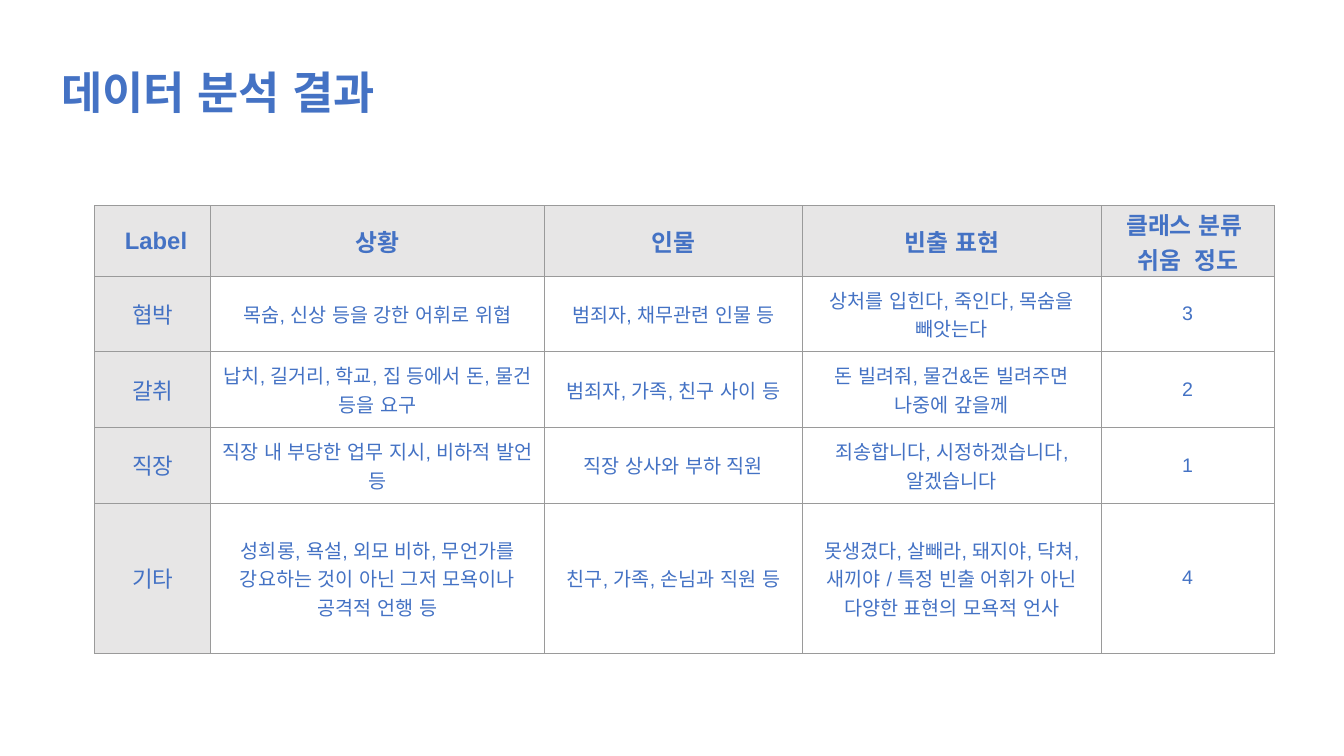
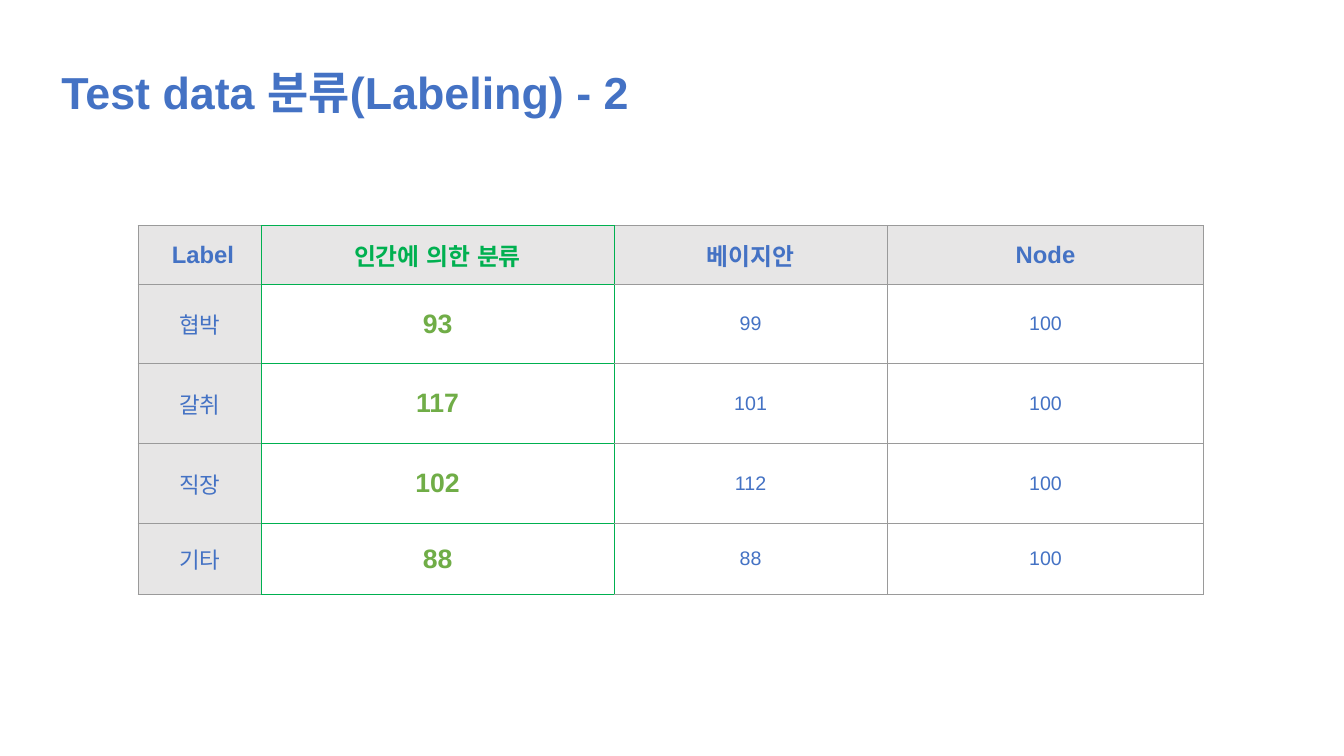
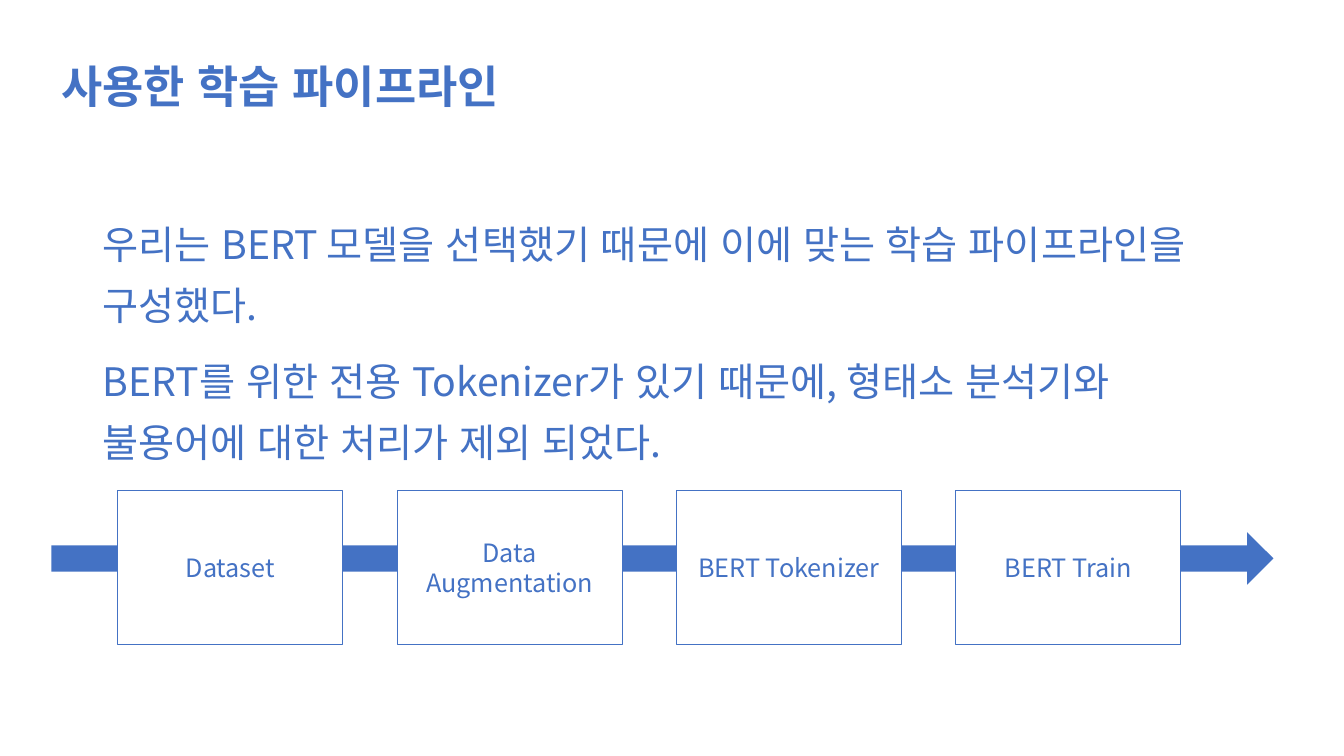
"""Build three slides on labelled data and the training pipeline."""
import dataclasses

import lxml.etree
import pptx
import pptx.dml.color
import pptx.enum.lang
import pptx.enum.shapes
import pptx.enum.text
import pptx.oxml.ns
import pptx.util

Inches = pptx.util.Inches
Pt = pptx.util.Pt
qn = pptx.oxml.ns.qn
MIDDLE = pptx.enum.text.MSO_ANCHOR.MIDDLE
CENTER = pptx.enum.text.PP_ALIGN.CENTER
SHAPE = pptx.enum.shapes.MSO_SHAPE

BLUE, WHITE = "4472C4", "FFFFFF"
HEADER_GRAY, BORDER_GRAY = "E7E6E6", "9A9A9A"
GREEN, LIGHT_GREEN = "00B050", "70AD47"
LATIN, KOREAN = "Arial", "Noto Sans CJK KR"


@dataclasses.dataclass(frozen=True)
class ColumnStyle:
    width: float
    size: int = 14
    bold: bool = False
    color: str = BLUE
    header_color: str = BLUE
    fill: str = ""
    borders: tuple[str, str, str, str] = (BORDER_GRAY,) * 4


@dataclasses.dataclass(frozen=True)
class TableSpec:
    left: float
    top: float
    columns: list[ColumnStyle]
    heights: list[float]
    rows: list[list[str]]


def rgb(value: str) -> pptx.dml.color.RGBColor:
    return pptx.dml.color.RGBColor.from_string(value)


def write_text(tf, text: str, *, size: int, color: str = BLUE, font: str = LATIN,
               bold: bool = False, align=None, spacing=None, before=None,
               anchor=None, insets: tuple[float, float] = (0.1, 0.05)) -> None:
    tf.word_wrap = True
    if anchor is not None:
        tf.vertical_anchor = anchor
    tf.margin_left = tf.margin_right = Inches(insets[0])
    tf.margin_top = tf.margin_bottom = Inches(insets[1])
    for i, line in enumerate(text.split("\n")):
        p = tf.paragraphs[0] if i == 0 else tf.add_paragraph()
        p.alignment, p.line_spacing = align, spacing
        if before is not None:
            p.space_before = Pt(before)
        r = p.add_run()
        r.text = line
        r.font.name, r.font.size, r.font.bold = font, Pt(size), bold
        r.font.color.rgb = rgb(color)
        r.font.language_id = pptx.enum.lang.MSO_LANGUAGE_ID.KOREAN
        latin = r.font._element.find(qn("a:latin"))
        ea = lxml.etree.Element(qn("a:ea"), typeface=KOREAN)
        latin.addnext(ea)


def add_title(s, text: str, width: float = 6.67, spacing=None) -> None:
    sp = s.shapes.add_textbox(Inches(0.51), Inches(0.59), Inches(width), Inches(0.64))
    write_text(sp.text_frame, text, size=32, bold=True, spacing=spacing)
    sp.text_frame.auto_size = pptx.enum.text.MSO_AUTO_SIZE.SHAPE_TO_FIT_TEXT


def set_borders(cell, colors: tuple[str, str, str, str]) -> None:
    tc_pr = cell._tc.get_or_add_tcPr()
    for i, (side, color) in enumerate(zip("LRTB", colors)):
        ln = lxml.etree.Element(qn(f"a:ln{side}"), w=str(Pt(0.75)))
        fill = lxml.etree.SubElement(ln, qn("a:solidFill"))
        lxml.etree.SubElement(fill, qn("a:srgbClr"), val=color)
        tc_pr.insert(i, ln)


def add_table(s, spec: TableSpec) -> None:
    width = sum(c.width for c in spec.columns)
    table = s.shapes.add_table(
        len(spec.rows), len(spec.columns), Inches(spec.left), Inches(spec.top),
        Inches(width), Inches(sum(spec.heights))).table
    for column, style in zip(table.columns, spec.columns):
        column.width = Inches(style.width)
    for i, (height, texts) in enumerate(zip(spec.heights, spec.rows)):
        table.rows[i].height = Inches(height)
        for j, (style, text) in enumerate(zip(spec.columns, texts)):
            cell = table.cell(i, j)
            header = i == 0
            fill = HEADER_GRAY if header else style.fill
            if fill:
                cell.fill.solid()
                cell.fill.fore_color.rgb = rgb(fill)
            else:
                cell.fill.background()
            set_borders(cell, style.borders)
            write_text(cell.text_frame, text, size=17 if header else style.size,
                       bold=header or style.bold, align=CENTER,
                       color=style.header_color if header else style.color)
            cell.vertical_anchor = MIDDLE
            cell.margin_left = cell.margin_right = Inches(0.04)
            cell.margin_top = cell.margin_bottom = Inches(0.01)


def add_block(s, kind, left: float, top: float, width: float, height: float,
              fill: str, line: str = ""):
    sp = s.shapes.add_shape(kind, Inches(left), Inches(top), Inches(width), Inches(height))
    sp.shadow.inherit = False
    sp.fill.solid()
    sp.fill.fore_color.rgb = rgb(fill)
    if line:
        sp.line.color.rgb = rgb(line)
        sp.line.width = Pt(0.75)
    else:
        sp.line.fill.background()
    return sp


def build_analysis(s) -> None:
    add_title(s, "데이터 분석 결과")
    add_table(s, TableSpec(
        left=0.94, top=2.04, heights=[0.7, 0.75, 0.75, 0.75, 1.49],
        columns=[ColumnStyle(1.15, size=16, fill=HEADER_GRAY),
                 *(ColumnStyle(w) for w in (3.31, 2.56, 2.96, 1.72))],
        rows=[
            [" Label", "상황", "인물", "빈출 표현", "클래스 분류 \n쉬움  정도"],
            ["협박", "목숨, 신상 등을 강한 어휘로 위협", "범죄자, 채무관련 인물 등",
             "상처를 입힌다, 죽인다, 목숨을 빼앗는다", "3"],
            ["갈취", "납치, 길거리, 학교, 집 등에서 돈, 물건 등을 요구",
             "범죄자, 가족, 친구 사이 등", "돈 빌려줘, 물건&돈 빌려주면 나중에 갚을께", "2"],
            ["직장", "직장 내 부당한 업무 지시, 비하적 발언 등", "직장 상사와 부하 직원",
             "죄송합니다, 시정하겠습니다, 알겠습니다", "1"],
            ["기타", "성희롱, 욕설, 외모 비하, 무언가를 강요하는 것이 아닌 그저 모욕이나 공격적 언행 등",
             "친구, 가족, 손님과 직원 등",
             "못생겼다, 살빼라, 돼지야, 닥쳐, 새끼야 / 특정 빈출 어휘가 아닌 다양한 표현의 모욕적 언사",
             "4"],
        ]))


def build_labeling(s) -> None:
    add_title(s, "Test data 분류(Labeling) - 2")
    add_table(s, TableSpec(
        left=1.37, top=2.24, heights=[0.58, 0.79, 0.79, 0.79, 0.71],
        columns=[
            ColumnStyle(1.22, size=16, fill=HEADER_GRAY,
                        borders=(BORDER_GRAY, GREEN, BORDER_GRAY, BORDER_GRAY)),
            ColumnStyle(3.5, size=19, bold=True, color=LIGHT_GREEN,
                        header_color=GREEN, borders=(GREEN,) * 4),
            ColumnStyle(2.71, borders=(GREEN, BORDER_GRAY, BORDER_GRAY, BORDER_GRAY)),
            ColumnStyle(3.14),
        ],
        rows=[
            [" Label", "인간에 의한 분류", "베이지안", "Node"],
            ["협박", "93", "99", "100"],
            ["갈취", "117", "101", "100"],
            ["직장", "102", "112", "100"],
            ["기타", "88", "88", "100"],
        ]))


def build_pipeline(s) -> None:
    sp = s.shapes.add_textbox(Inches(0.92), Inches(2), Inches(11.5), Inches(2.53))
    write_text(sp.text_frame,
               "우리는 BERT 모델을 선택했기 때문에 이에 맞는 학습 파이프라인을 구성했다.\n"
               "BERT를 위한 전용 Tokenizer가 있기 때문에, 형태소 분석기와 "
               "불용어에 대한 처리가 제외 되었다.",
               size=28, font=KOREAN, spacing=1.3, before=10)
    add_title(s, "사용한 학습 파이프라인", width=9.38, spacing=0.9)
    add_block(s, SHAPE.RIGHT_ARROW, 0.51, 5.28, 12.12, 0.52, BLUE)
    steps = ["Dataset", "Data Augmentation", "BERT Tokenizer", "BERT Train"]
    for i, step in enumerate(steps):
        box = add_block(s, SHAPE.RECTANGLE, 1.17 + 2.77 * i, 4.87, 2.23, 1.52, WHITE, BLUE)
        write_text(box.text_frame, step, size=18, font=KOREAN, align=CENTER, anchor=MIDDLE)


def main() -> None:
    prs = pptx.Presentation()
    prs.slide_width, prs.slide_height = Inches(13.33), Inches(7.5)
    for build in (build_analysis, build_labeling, build_pipeline):
        build(prs.slides.add_slide(prs.slide_layouts[6]))
    prs.save("out.pptx")


if __name__ == "__main__":
    main()
